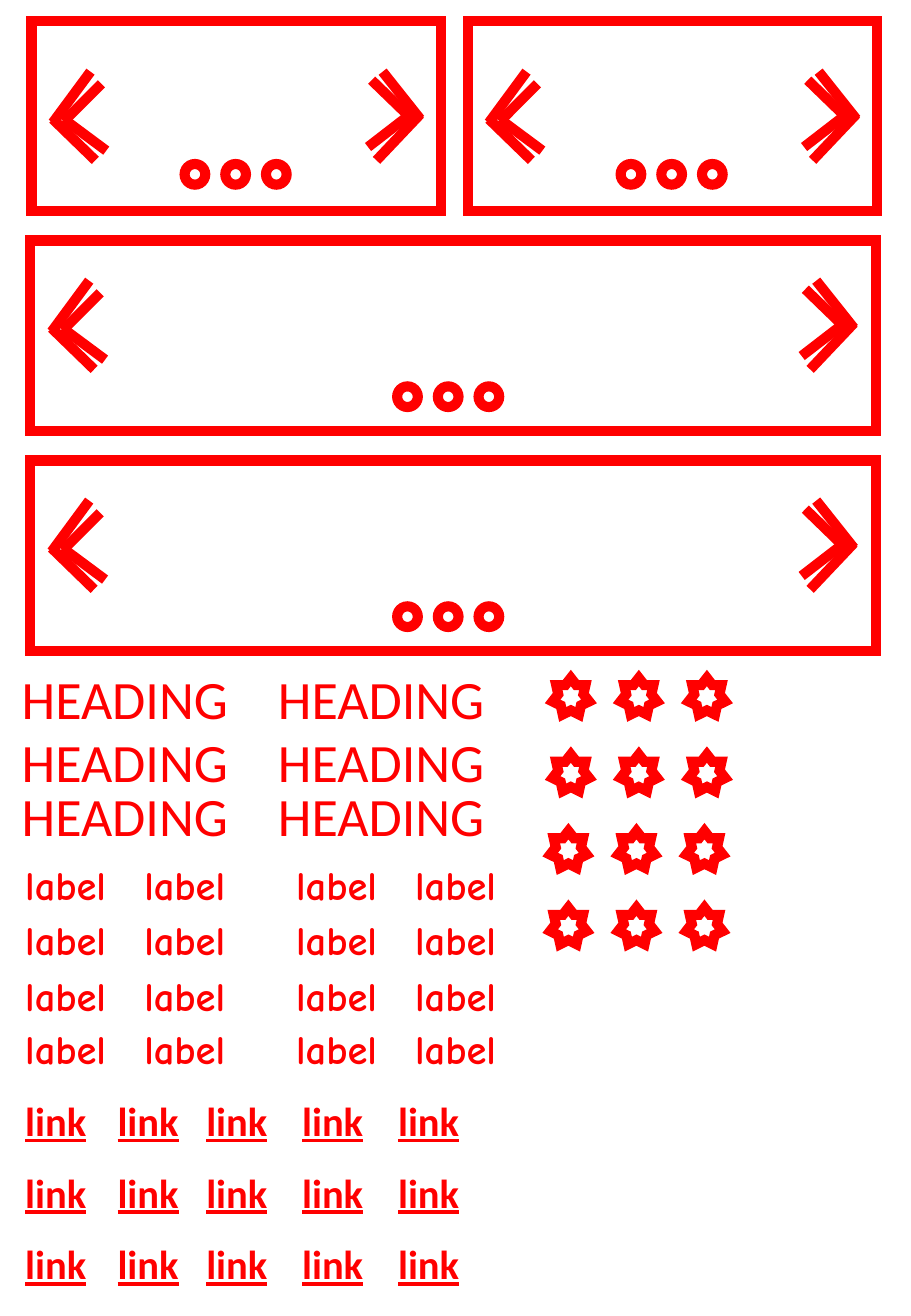
import pptx
import pptx.util
import pptx.dml.color
import pptx.enum.shapes
import pptx.enum.text
import pptx.oxml
import pptx.oxml.ns

Inches = pptx.util.Inches
Pt = pptx.util.Pt
AutoShape = pptx.enum.shapes.MSO_SHAPE
COLORS = {"red": "FF0000", "white": "FFFFFF"}
DRAWING_NS = pptx.oxml.ns.nsdecls("a")

# Strokes of each chevron, from the top left corner of its box: x1, y1, x2, y2
LEFT_CHEVRON = [(0.31, 0, 0, 0.42), (0, 0.39, 0.35, 0.73),
                (0.4, 0.1, 0.09, 0.41), (0.09, 0.39, 0.44, 0.65)]
RIGHT_CHEVRON = [(0.07, 0.73, 0.43, 0.35), (0.43, 0.39, 0.12, 0),
                 (0, 0.62, 0.35, 0.35), (0.35, 0.38, 0.03, 0.07)]
CHEVRON_WIDTH = 0.43
DOT_SIZE, DOT_PITCH = 0.17, 0.335
STAR_SIZE, STAR_PITCH = 0.3, 0.56

# left, top, width, chevron drop, chevron inset, dots left, dots drop
PANELS = [
    (0.26, 0.17, 3.37, 0.42, 0.17, 1.26, 1.18),
    (3.85, 0.17, 3.37, 0.42, 0.17, 1.26, 1.18),
    (0.25, 1.98, 6.96, 0.33, 0.18, 3.02, 1.2),
    (0.25, 3.79, 6.96, 0.33, 0.18, 3.02, 1.2),
]
PANEL_HEIGHT = 1.57


def rgb(name):
    return pptx.dml.color.RGBColor.from_string(COLORS[name])


def style_line(shape):
    """Give a thick red line with sharp corners."""
    shape.line.color.rgb = rgb("red")
    shape.line.width = Pt(6)
    miter = pptx.oxml.parse_xml(f'<a:miter {DRAWING_NS} lim="800000"/>')
    shape.line._get_or_add_ln().append(miter)


def add_outline(shapes, kind, left, top, width, height, fill="white"):
    shape = shapes.add_shape(kind, Inches(left), Inches(top),
                             Inches(width), Inches(height))
    shape.shadow.inherit = False
    if fill:
        shape.fill.solid()
        shape.fill.fore_color.rgb = rgb(fill)
    else:
        shape.fill.background()
    style_line(shape)


def add_chevron(shapes, strokes, left, top):
    for x1, y1, x2, y2 in strokes:
        stroke = shapes.add_connector(
            pptx.enum.shapes.MSO_CONNECTOR.STRAIGHT,
            Inches(left + x1), Inches(top + y1),
            Inches(left + x2), Inches(top + y2))
        style_line(stroke)
        effects = pptx.oxml.parse_xml(f"<a:effectLst {DRAWING_NS}/>")
        stroke._element.spPr.append(effects)


def add_carousel(slide, left, top, width, drop, inset, dots_left, dots_drop):
    """Draw a framed panel with two chevrons and three page dots."""
    shapes = slide.shapes.add_group_shape().shapes
    add_outline(shapes, AutoShape.RECTANGLE, left, top, width, PANEL_HEIGHT)
    add_chevron(shapes, LEFT_CHEVRON, left + 0.175, top + drop)
    add_chevron(shapes, RIGHT_CHEVRON,
                left + width - inset - CHEVRON_WIDTH, top + drop)
    for index in range(3):
        add_outline(shapes, AutoShape.OVAL,
                    left + dots_left + index * DOT_PITCH, top + dots_drop,
                    DOT_SIZE, DOT_SIZE, fill=None)


def add_star_row(slide, left, top):
    shapes = slide.shapes.add_group_shape().shapes
    for index in range(3):
        add_outline(shapes, AutoShape.STAR_7_POINT, left + index * STAR_PITCH,
                    top, STAR_SIZE, STAR_SIZE)


def add_text_grid(slide, text, columns, rows, width, height, size, font_name,
                  bold=False, underline=False):
    """Repeat one text at every crossing of the columns and rows."""
    for top in rows:
        for left in columns:
            box = slide.shapes.add_textbox(Inches(left), Inches(top),
                                           Inches(width), Inches(height))
            frame = box.text_frame
            frame.word_wrap = True
            frame.auto_size = pptx.enum.text.MSO_AUTO_SIZE.SHAPE_TO_FIT_TEXT
            run = frame.paragraphs[0].add_run()
            run.text = text
            run.font.name = font_name
            run.font.size = Pt(size)
            run.font.bold = bold
            run.font.underline = underline
            run.font.color.rgb = rgb("red")


def main():
    presentation = pptx.Presentation()
    presentation.slide_width = Inches(7.5)
    presentation.slide_height = Inches(10.83)
    slide = presentation.slides.add_slide(presentation.slide_layouts[6])

    for panel in PANELS:
        add_carousel(slide, *panel)
    add_text_grid(slide, "HEADING", [0.08, 2.19], [5.43, 5.95, 6.39],
                  2.27, 0.64, 32, "Calibri")
    add_text_grid(slide, "label", [0.11, 1.09, 2.34, 3.32],
                  [7.03, 7.48, 7.94, 8.38],
                  1.26, 0.5, 24, "Comic Neue", bold=True)
    add_text_grid(slide, "link", [0.11, 0.87, 1.6, 2.39, 3.18],
                  [8.97, 9.56, 10.15],
                  1.26, 0.5, 24, "Calibri", bold=True, underline=True)
    for index, left in enumerate([4.55, 4.55, 4.53, 4.53]):
        add_star_row(slide, left, 5.58 + index * 0.63)

    presentation.save("out.pptx")


if __name__ == "__main__":
    main()
